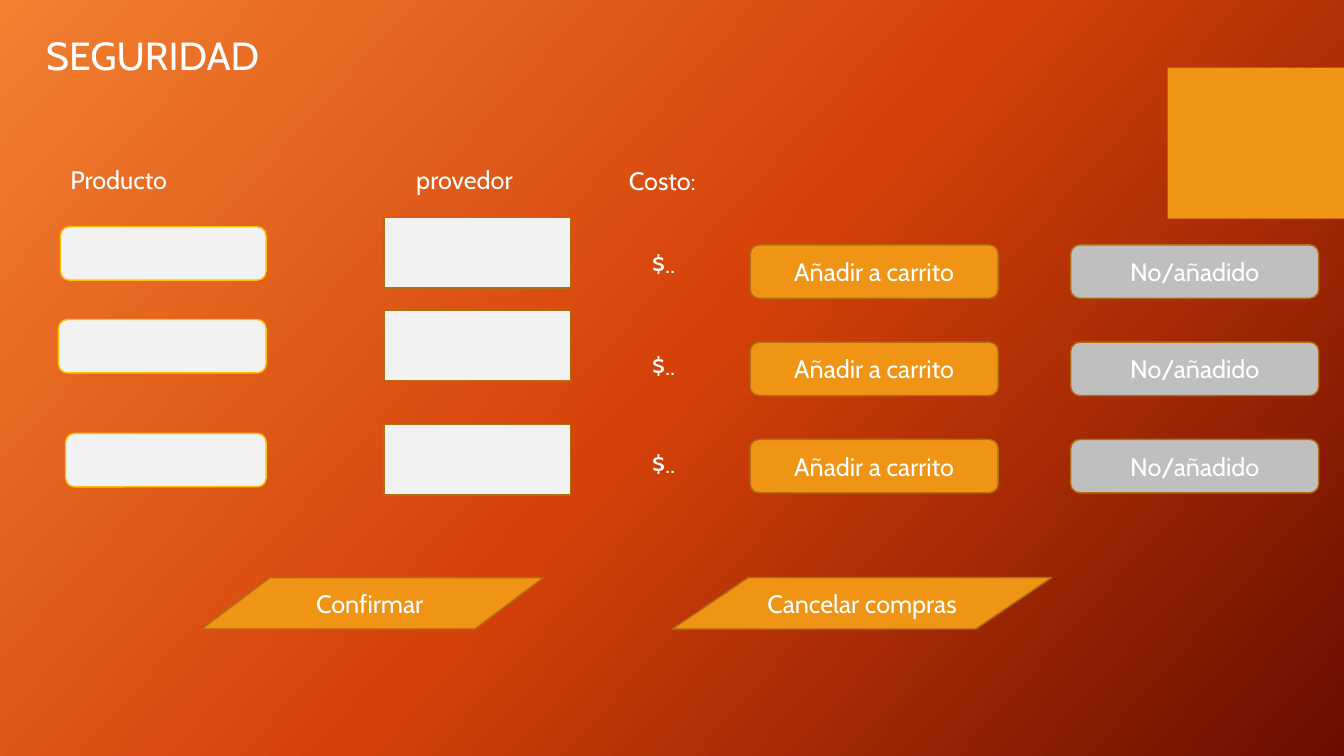
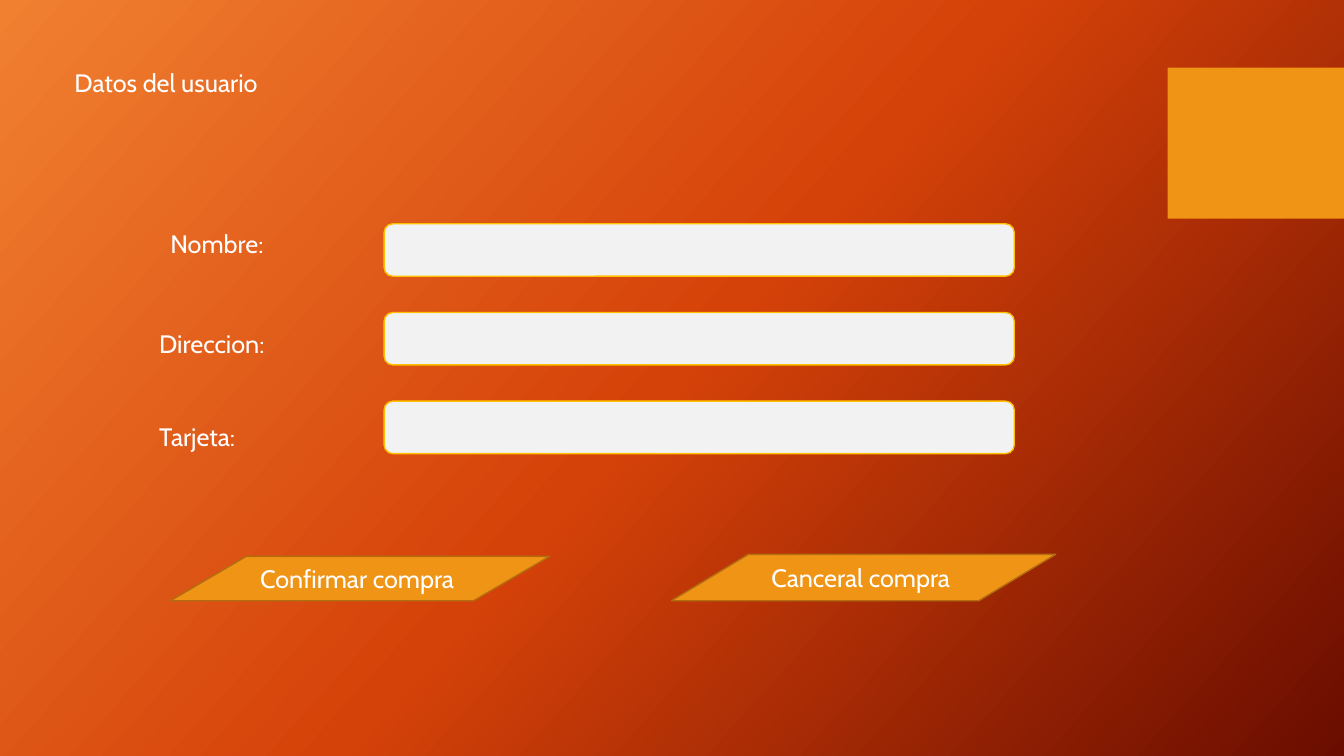
from lxml import etree
from pptx import Presentation
from pptx.dml.color import RGBColor
from pptx.enum import shapes, text
from pptx.oxml.ns import qn
from pptx.util import Inches, Pt

# Shared style
FONT = "Cabin"
WHITE = RGBColor(0xFF, 0xFF, 0xFF)
ORANGE = RGBColor(0xF0, 0x94, 0x15)
BROWN = RGBColor(0xB2, 0x6D, 0x10)
GOLD = RGBColor(0xFF, 0xC0, 0x00)
SILVER = RGBColor(0xBF, 0xBF, 0xBF)
PALE = RGBColor(0xF2, 0xF2, 0xF2)
BACKGROUND_STOPS = [
    (0, RGBColor(0xF1, 0x80, 0x31)),
    (50, RGBColor(0xD5, 0x42, 0x09)),
    (100, RGBColor(0x6A, 0x0D, 0x00)),
]
BACKGROUND_ANGLE = 42
ACCENT_BOX = (11.58, 0.67, 1.75, 1.5)

RECTANGLE = shapes.MSO_SHAPE.RECTANGLE
ROUNDED = shapes.MSO_SHAPE.ROUNDED_RECTANGLE
SLANTED = shapes.MSO_SHAPE.FLOWCHART_DATA
STYLES = {
    "accent": (RECTANGLE, ORANGE, None),
    "field": (ROUNDED, PALE, GOLD),
    "supplier": (RECTANGLE, PALE, BROWN),
    "add": (ROUNDED, ORANGE, BROWN),
    "skip": (ROUNDED, SILVER, BROWN),
    "action": (SLANTED, ORANGE, BROWN),
}

# Shop slide: (text, left, top, width, height)
SHOP_TITLE = ("SEGURIDAD", 0.36, 0.26, 2.9, 0.57)
SHOP_HEADINGS = [
    ("Producto", 0.6, 1.58, 1.4, 0.42),
    ("provedor", 4.03, 1.58, 1.71, 0.4),
]
COST_HEADING = ("Costo:", 6.02, 1.59, 1.1, 0.4)
PRODUCT_RIGHT = 2.64
# Product left, product top, price top
SHOP_ROWS = [(0.6, 2.25, 2.41), (0.58, 3.17, 3.43), (0.65, 4.3, 4.4)]
SUPPLIER_RISE = 0.09
BUTTON_TOP, BUTTON_STEP = 2.43, 0.965
BUTTONS = [("add", "Añadir a carrito", 7.44), ("skip", "No/añadido", 10.62)]
SHOP_ACTIONS = [
    ("Confirmar ", 2, 5.73, 3.39, 0.51),
    ("Cancelar compras", 6.67, 5.73, 3.76, 0.51),
]

# User slide
USER_TITLE = ("Datos del usuario", 0.64, 0.62, 4.11, 0.4)
USER_LABELS = [
    ("Nombre:", 1.59, 2.22, 1.38, 0.4),
    ("Direccion:", 1.48, 3.21, 1.66, 0.4),
    ("Tarjeta:", 1.48, 4.13, 1.48, 0.4),
]
FIELD_TOP, FIELD_STEP = 2.22, 0.88
USER_ACTIONS = [
    ("Confirmar compra ", 1.69, 5.52, 3.76, 0.44),
    ("Canceral compra ", 6.66, 5.5, 3.81, 0.46),
]


def apply(target, values):
    for name, value in values.items():
        setattr(target, name, value)


def write(shape, words, size=18, align=None, **frame_format):
    frame = shape.text_frame
    apply(frame, {"word_wrap": True, **frame_format})
    paragraph = frame.paragraphs[0]
    paragraph.alignment = align
    run = paragraph.add_run()
    run.text = words
    apply(run.font, {"name": FONT, "size": Pt(size)})
    run.font.color.rgb = WHITE


def add_label(slide, words, *box, size=18, align=None):
    label = slide.shapes.add_textbox(*map(Inches, box))
    write(label, words, size, align, auto_size=text.MSO_AUTO_SIZE.SHAPE_TO_FIT_TEXT)


def add_box(slide, style, *box, words=None):
    preset, fill, line = STYLES[style]
    shape = slide.shapes.add_shape(preset, *map(Inches, box))
    shape.shadow.inherit = False
    shape.fill.solid()
    shape.fill.fore_color.rgb = fill
    if line is None:
        shape.line.fill.background()
    else:
        shape.line.color.rgb = line
        shape.line.width = Pt(1)
    if words:
        write(shape, words, align=text.PP_ALIGN.CENTER,
              vertical_anchor=text.MSO_ANCHOR.MIDDLE)


def set_background(master):
    fill = master.background.fill
    fill.gradient()
    fill.gradient_angle = 360 - BACKGROUND_ANGLE
    stop_list = next(master.background._cSld.iter(qn("a:gsLst")))
    for stop in list(stop_list):
        stop_list.remove(stop)
    for percent, color in BACKGROUND_STOPS:
        stop = etree.SubElement(stop_list, qn("a:gs"), pos=str(percent * 1000))
        etree.SubElement(stop, qn("a:srgbClr"), val=str(color))


def add_slide(presentation):
    slide = presentation.slides.add_slide(presentation.slide_layouts[6])
    add_box(slide, "accent", *ACCENT_BOX)
    return slide


def add_actions(slide, actions):
    for words, *box in actions:
        add_box(slide, "action", *box, words=words)


def build_shop(presentation):
    slide = add_slide(presentation)
    add_label(slide, *SHOP_TITLE, size=28)
    for heading in SHOP_HEADINGS:
        add_label(slide, *heading)
    add_label(slide, *COST_HEADING, align=text.PP_ALIGN.CENTER)

    # One row per product
    for row, (left, top, price_top) in enumerate(SHOP_ROWS):
        add_box(slide, "field", left, top, PRODUCT_RIGHT - left, 0.53)
        add_box(slide, "supplier", 3.81, top - SUPPLIER_RISE, 1.85, 0.7)
        add_label(slide, "$..", 6.37, price_top, 0.58, 0.4)
        for style, words, button_left in BUTTONS:
            add_box(slide, style, button_left, BUTTON_TOP + row * BUTTON_STEP,
                    2.46, 0.53, words=words)
    add_actions(slide, SHOP_ACTIONS)


def build_user(presentation):
    slide = add_slide(presentation)
    add_label(slide, *USER_TITLE)

    # Labels with their entry fields
    for row, label in enumerate(USER_LABELS):
        add_label(slide, *label)
        add_box(slide, "field", 3.81, FIELD_TOP + row * FIELD_STEP, 6.25, 0.52)
    add_actions(slide, USER_ACTIONS)


def main():
    presentation = Presentation()
    apply(presentation, {"slide_width": Inches(13.33), "slide_height": Inches(7.5)})
    set_background(presentation.slide_master)
    build_shop(presentation)
    build_user(presentation)
    presentation.save("out.pptx")


if __name__ == "__main__":
    main()
